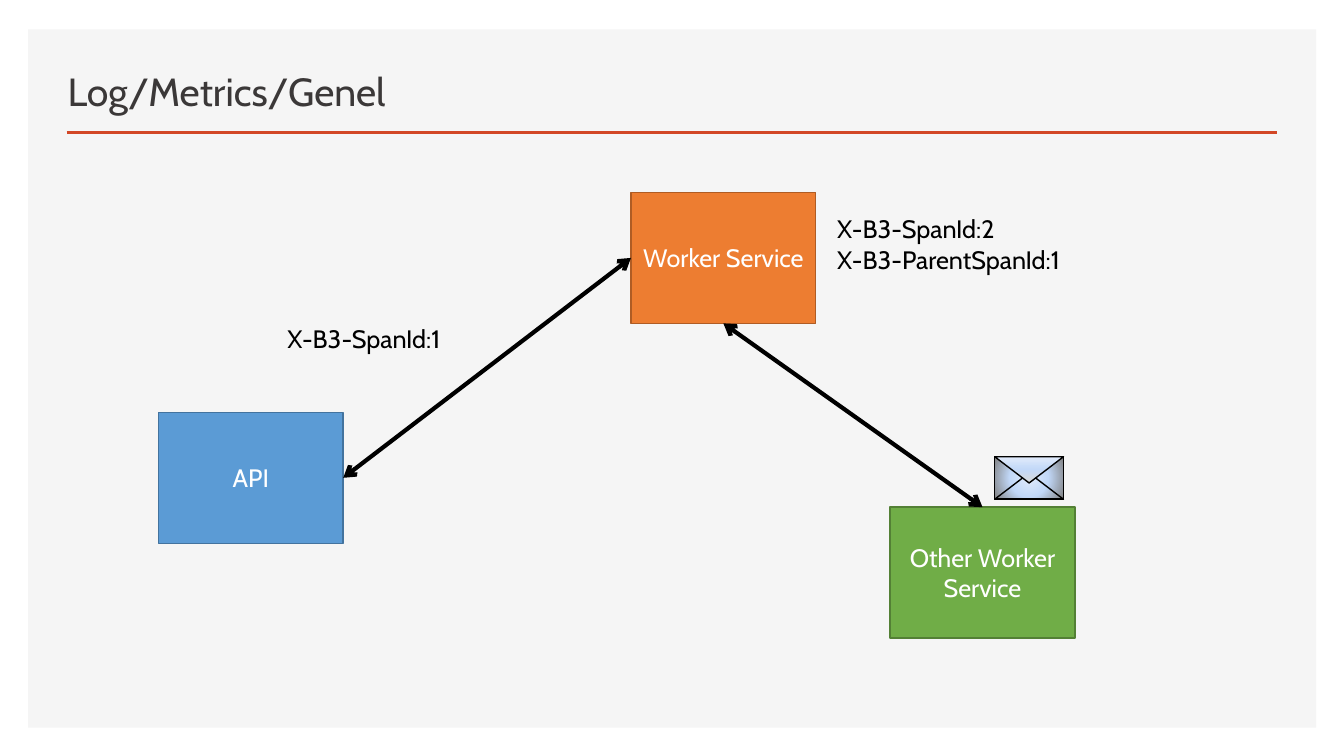
"""Build a slide that traces span ids between an API and two worker services."""
from dataclasses import dataclass

from lxml import etree
from pptx import Presentation
from pptx.dml.color import RGBColor
from pptx.enum.shapes import MSO_CONNECTOR, MSO_SHAPE
from pptx.enum.text import MSO_ANCHOR, PP_ALIGN
from pptx.oxml import parse_xml
from pptx.oxml.ns import nsdecls, qn
from pptx.util import Cm, Pt

RECT, PEAK = MSO_SHAPE.RECTANGLE, MSO_SHAPE.ISOSCELES_TRIANGLE
LINE = MSO_CONNECTOR.STRAIGHT
LEFT, CENTER = PP_ALIGN.LEFT, PP_ALIGN.CENTER
TOP, MIDDLE, BOTTOM = MSO_ANCHOR.TOP, MSO_ANCHOR.MIDDLE, MSO_ANCHOR.BOTTOM


@dataclass
class Theme:
    """Colours, font and type sizes of the slide."""
    font: str = "Cabin"
    head: int = 28
    body: int = 18
    panel: str = "F5F5F5"
    rule: str = "D24726"
    title: str = "3B3838"
    white: str = "FFFFFF"
    black: str = "000000"
    blue: tuple = ("5B9BD5", "43739E")
    orange: tuple = ("ED7D31", "AF5C24")
    green: tuple = ("70AD47", "538035")
    paper: tuple = ((0, "E1EBFB"), (48, "C2D8F8"), (100, "808080"))
    flap: tuple = ((0, "E1EBFB"), (48, "C2D8F8"), (100, "D9D9D9"))


def write(shape, text, size, color, align, anchor):
    """Fill a shape with evenly styled paragraphs."""
    frame = shape.text_frame
    frame.word_wrap = True
    frame.vertical_anchor = anchor
    frame.text = text
    for para in frame.paragraphs:
        para.alignment = align
        para.font.name = theme.font
        para.font.size = Pt(size)
        para.font.color.rgb = RGBColor.from_string(color)


def paint(shape, fill, edge):
    """Set a flat fill and a thin outline, or none where the colour is None."""
    shape.shadow.inherit = False
    for part, color in ((shape.fill, fill), (shape.line.fill, edge)):
        if color:
            part.solid()
            part.fore_color.rgb = RGBColor.from_string(color)
        else:
            part.background()
    if edge:
        shape.line.width = Pt(1)


theme = Theme()
deck = Presentation()
deck.slide_width, deck.slide_height = Cm(33.87), Cm(19.05)
slide = deck.slides.add_slide(deck.slide_layouts[5])
shapes = slide.shapes

panel = shapes.add_shape(RECT, Cm(0.71), Cm(0.74), Cm(32.46), Cm(17.6))
paint(panel, theme.panel, None)
shapes._spTree.insert(2, panel._element)

title = shapes.title
title.left, title.top, title.width, title.height = Cm(1.45), Cm(1.24), Cm(19.1), Cm(1.78)
write(title, "Log/Metrics/Genel", theme.head, theme.title, LEFT, BOTTOM)

boxes = []
for text, left, top, tone in (
    ("API", 3.99, 10.39, theme.blue),
    ("Worker Service", 15.9, 4.85, theme.orange),
    ("Other Worker Service", 22.43, 12.78, theme.green),
):
    box = shapes.add_shape(RECT, Cm(left), Cm(top), Cm(4.66), Cm(3.3))
    paint(box, *tone)
    write(box, text, theme.body, theme.white, CENTER, MIDDLE)
    boxes.append(box)
api, worker, other = boxes

rule = shapes.add_connector(LINE, Cm(1.68), Cm(3.33), Cm(32.18), Cm(3.33))
call = shapes.add_connector(LINE, 0, 0, 0, 0)
call.begin_connect(api, 3)
call.end_connect(worker, 1)
relay = shapes.add_connector(LINE, 0, 0, 0, 0)
relay.begin_connect(worker, 2)
relay.end_connect(other, 0)

for link, color, width, ends in (
    (rule, theme.rule, 2, ()),
    (call, theme.black, 3, ("a:headEnd", "a:tailEnd")),
    (relay, theme.black, 3, ("a:headEnd", "a:tailEnd")),
):
    link.line.color.rgb = RGBColor.from_string(color)
    link.line.width = Pt(width)
    props = link._element.spPr
    for end in ends:
        etree.SubElement(props.find(qn("a:ln")), qn(end), type="arrow")
    etree.SubElement(props, qn("a:effectLst"))

glow = '<a:path path="circle"><a:fillToRect l="50000" t="50000" r="50000" b="50000"/></a:path>'
fade = '<a:lin ang="16200000" scaled="0"/>'
mail = shapes.add_group_shape()
for kind, top, high, turn, stops, mode in (
    (RECT, 11.51, 1.07, 0, theme.paper, glow),
    (PEAK, 11.92, 0.66, 0, (), ""),
    (PEAK, 11.51, 0.66, 180, theme.flap, fade),
):
    part = mail.shapes.add_shape(kind, Cm(25.07), Cm(top), Cm(1.73), Cm(high))
    part.rotation = turn
    paint(part, None, theme.black)
    if stops:
        marks = "".join(
            f'<a:gs pos="{pos * 1000}"><a:srgbClr val="{color}"/></a:gs>'
            for pos, color in stops
        )
        props = part._element.spPr
        blend = parse_xml(
            f'<a:gradFill {nsdecls("a")} rotWithShape="1">'
            f"<a:gsLst>{marks}</a:gsLst>{mode}</a:gradFill>"
        )
        props.replace(props.find(qn("a:noFill")), blend)

for text, left, top, width, anchor in (
    ("X-B3-SpanId:1", 6.99, 7.24, 5.94, BOTTOM),
    ("X-B3-SpanId:2\nX-B3-ParentSpanId:1", 20.85, 5.26, 6.55, TOP),
):
    label = shapes.add_textbox(Cm(left), Cm(top), Cm(width), Cm(1.8))
    write(label, text, theme.body, theme.black, LEFT, anchor)

deck.save("out.pptx")
